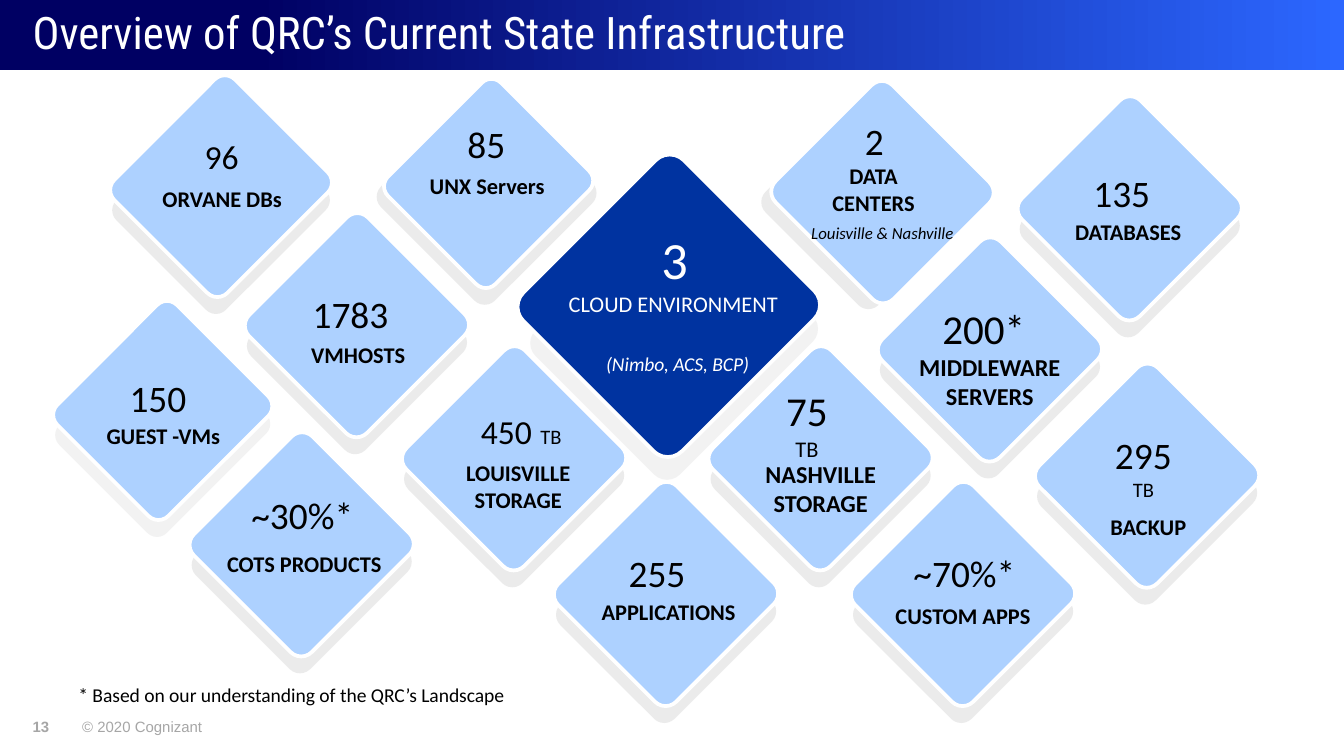
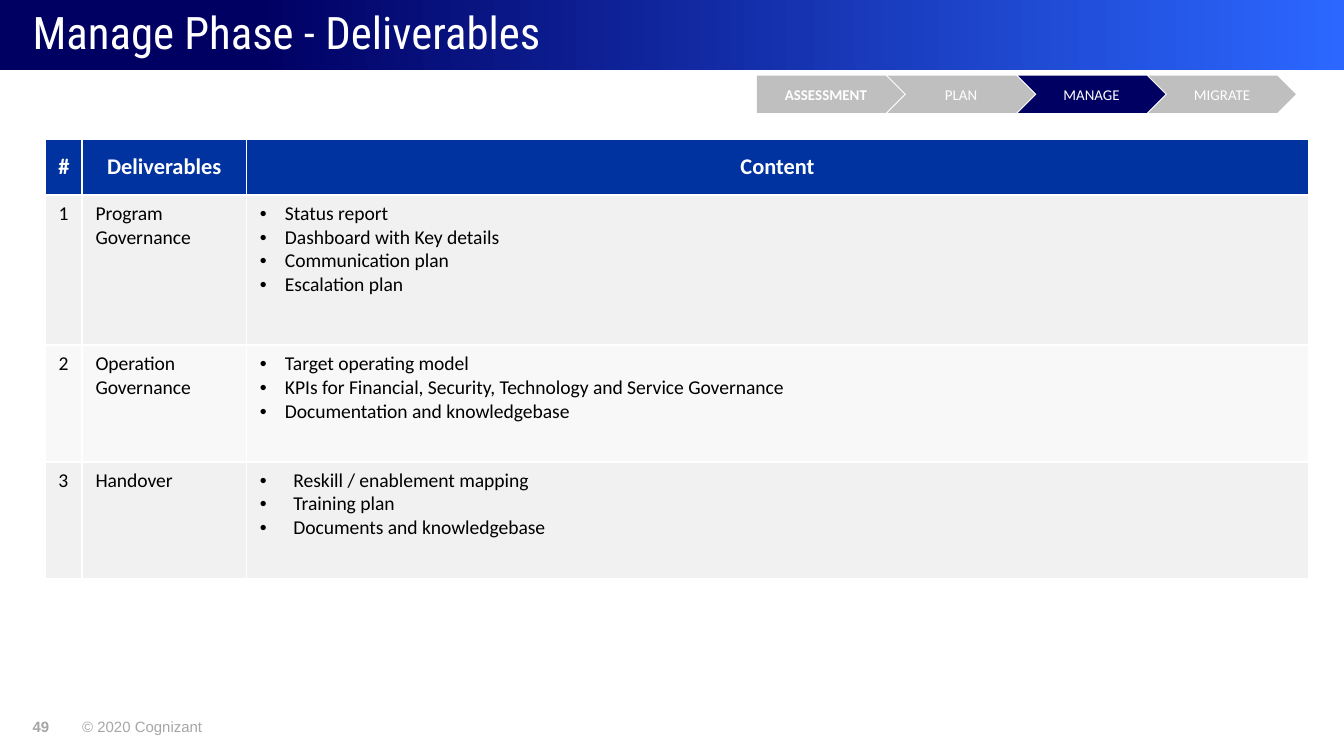
from lxml.etree import SubElement
from pptx import Presentation
from pptx.dml.color import RGBColor
from pptx.enum.shapes import MSO_SHAPE as Preset
from pptx.enum.text import MSO_ANCHOR as Anchor, MSO_AUTO_SIZE as AutoSize, PP_ALIGN as Align
from pptx.oxml.ns import qn
from pptx.util import Pt

NAVY, BRIGHT, BLUE, SKY = "000063", "2C67FF", "0033A0", "ADD1FF"
WHITE, BLACK, GREY, FOOTER = "FFFFFF", "000000", "BFBFBF", "A6A6A6"


def paint(fill, colour, end=None):
    if end:
        fill.gradient()
        fill.gradient_angle = 0
        for stop, position, value in zip(fill.gradient_stops, (0.19, 1), (colour, end)):
            stop.position = position
            stop.color.rgb = RGBColor.from_string(value)
    else:
        fill.solid()
        fill.fore_color.rgb = RGBColor.from_string(colour)


def write(frame, lines, colour=BLACK, align=Align.CENTER, font="Calibri", style="", wrap=True):
    frame.word_wrap = wrap
    frame.margin_left = frame.margin_right = frame.margin_top = frame.margin_bottom = 0
    for number, line in enumerate(lines):
        paragraph = frame.add_paragraph() if number else frame.paragraphs[0]
        paragraph.alignment = align
        for text, size in line:
            run = paragraph.add_run()
            run.text = text
            run.font.name = font
            run.font.size = Pt(size)
            run.font.bold = style == "bold"
            run.font.italic = style == "italic"
            paint(run.font.fill, colour)


deck = Presentation()
deck.slide_width, deck.slide_height = Pt(720), Pt(405)

slides = []
for heading, page in [
    ("Overview of QRC’s Current State Infrastructure", "13"),
    ("Manage Phase - Deliverables", "49"),
]:
    slide = deck.slides.add_slide(deck.slide_layouts[5])
    slides.append(slide)
    band = slide.shapes.add_shape(Preset.RECTANGLE, 0, 0, Pt(720), Pt(37.5))
    band.shadow.inherit = False
    band.line.fill.background()
    paint(band.fill, NAVY, BRIGHT)
    title = slide.shapes.title
    title._element.addprevious(band._element)
    title.left, title.top, title.width, title.height = Pt(17.5), 0, Pt(626.5), Pt(37.5)
    write(title.text_frame, [[(heading, 24)]], WHITE, Align.LEFT, "Roboto Condensed")
    title.text_frame.auto_size = AutoSize.NONE
    title.text_frame.vertical_anchor = Anchor.MIDDLE
    title.text_frame.paragraphs[0].line_spacing = 0.9
    for left, width, text, style in [(17.5, 10, page, "bold"), (44, 65.5, "© 2020 Cognizant", "")]:
        box = slide.shapes.add_textbox(Pt(left), Pt(384.5), Pt(width), Pt(9.5))
        write(box.text_frame, [[(text, 8)]], FOOTER, Align.LEFT, "Arial", style, wrap=False)

overview, deliverables = slides

footnote = overview.shapes.add_textbox(Pt(42), Pt(366), Pt(475), Pt(13))
write(footnote.text_frame, [[("* Based on our understanding of the QRC’s Landscape", 10.5)]], align=Align.LEFT)

SIDE = (90, 89.3)
tiles = [
    ((297.4, 103.7, 121.7, 120.2), (301, 125.3, 120.2, 109.4), [
        (294.5, 155.5, 132.5, "", [[("CLOUD ENVIRONMENT", 12)]]),
        (333.4, 121.7, 56, "", [[("3", 28)]]),
        (324.7, 188.6, 90, "italic", [[("(Nimbo, ACS, BCP)", 10.5)]])]),
    ((428.4, 58.3, 88.6, 89.3), (421.2, 62.6, 93.6, 85.7), [
        (448.6, 63.4, 39.6, "", [[("2", 20)]]),
        (424, 87, 88, "bold", [[("DATA", 12)], [("CENTERS", 12)]]),
        (433.4, 119.5, 78.5, "italic", [[("Louisville & Nashville", 9)]])]),
    ((394.6, 200.9, *SIDE), None, [
        (404.3, 206.6, 56, "", [[("75", 22)], [("TB", 12)]]),
        (387.4, 246.2, 104.4, "bold", [[("NASHVILLE STORAGE", 13)]])]),
    ((230.4, 200.9, *SIDE), None, [
        (251.3, 218.2, 56, "", [[("450", 18), (" ", 20), ("TB", 11)]]),
        (225.4, 246.2, 104.4, "bold", [[("LOUISVILLE STORAGE", 12)]])]),
    ((146.2, 129.6, *SIDE), None, [
        (159.8, 156.2, 56, "", [[("1783", 20)]]),
        (139.7, 182.9, 104.4, "bold", [[("VMHOSTS", 12)]])]),
    ((485.3, 142.6, *SIDE), None, [
        (499, 162.7, 56, "", [[("200*", 22)]]),
        (478, 188.6, 104.4, "bold", [[("MIDDLEWARE", 13)], [("SERVERS", 13)]])]),
    ((218.9, 57.6, 85.7, 81.4), (216, 61.2, 89.3, 86.4), [
        (232.6, 64.8, 56, "", [[("85", 20)]]),
        (208.8, 92.2, 104.4, "bold", [[("UNX Servers", 12)]])]),
    ((72.7, 56.9, 91.4, 85.7), None, [
        (90, 72.7, 57.6, "", [[("96", 18)]]),
        (66.2, 99.4, 105.8, "bold", [[("ORVANE DBs", 12)]])]),
    ((41.8, 177.8, 90.7, 84.2), None, [
        (56.2, 200.9, 56.9, "", [[("150", 20)]]),
        (35.3, 226, 104.4, "bold", [[("GUEST -VMs", 12)]])]),
    ((116.6, 247, *SIDE), None, [
        (122.4, 263.5, 79.2, "", [[("~30%*", 20)]]),
        (118.8, 294.5, 88.6, "bold", [[("COTS PRODUCTS", 12)]])]),
    ((311.8, 273.6, *SIDE), None, [
        (324, 294.5, 56, "", [[("255", 20)]]),
        (306, 320.4, 104.4, "bold", [[("APPLICATIONS", 12)]])]),
    ((470.9, 273.6, *SIDE), None, [
        (476, 294.5, 81.4, "", [[("~70%*", 20)]]),
        (463.7, 322.6, 104.4, "bold", [[("CUSTOM APPS", 12)]])]),
    ((569.5, 210.2, *SIDE), None, [
        (565.4, 231.8, 94.3, "", [[("295", 20)], [("TB", 11)]]),
        (563, 275, 104.4, "bold", [[("BACKUP", 12)]])]),
    ((560.2, 67, *SIDE), None, [
        (573, 91.4, 56, "", [[("135", 20)]]),
        (552.2, 116.6, 104.4, "bold", [[("DATABASES", 12)]])]),
]
CLOUD_TILE, GUEST_TILE = 0, 8
for index, (face, shade, labels) in enumerate(tiles):
    left, top, width, height = face
    cloud = index == CLOUD_TILE
    solid_shade = index in (CLOUD_TILE, GUEST_TILE)
    shade = shade or (left + 0.35, top + 11.5, width - 0.7, height - 2.7)
    for place, colour in [(shade, "F2F2F2" if solid_shade else "D9D9D9"), (face, BLUE if cloud else SKY)]:
        diamond = overview.shapes.add_shape(Preset.ROUNDED_RECTANGLE, *map(Pt, place))
        diamond.adjustments[0] = 0.09
        diamond.rotation = 135
        diamond.shadow.inherit = False
        paint(diamond.fill, colour)
        if place == face:
            paint(diamond.line.fill, WHITE)
            diamond.line.width = Pt(2)
        else:
            diamond.line.fill.background()
            if not solid_shade:
                tint = diamond._element.spPr.find(qn("a:solidFill"))[0]
                SubElement(tint, qn("a:alpha"), val="50000")
    for x, y, span, style, lines in labels:
        tall = 1.15 * sum(max(size for _, size in line) for line in lines)
        box = overview.shapes.add_textbox(Pt(x), Pt(y), Pt(span), Pt(tall))
        align = Align.LEFT if cloud and style == "italic" else Align.CENTER
        write(box.text_frame, lines, WHITE if cloud else BLACK, align, style=style)

rows = [
    ("#", "Deliverables", ["Content"]),
    ("1", "Program Governance", [
        "Status report", "Dashboard with Key details", "Communication plan", "Escalation plan"]),
    ("2", "Operation Governance", [
        "Target operating model",
        "KPIs for Financial, Security, Technology and Service Governance",
        "Documentation and knowledgebase"]),
    ("3", "Handover", ["Reskill / enablement mapping", "Training plan", "Documents and knowledgebase"]),
]
grid = deliverables.shapes.add_table(4, 3, Pt(24), Pt(74.5), Pt(677), Pt(236)).table
for column, width in zip(grid.columns, (20, 88, 569)):
    column.width = Pt(width)
for row, height in zip(grid.rows, (30, 80.5, 62.5, 62.5)):
    row.height = Pt(height)
for r, (number, name, content) in enumerate(rows):
    for c, lines in enumerate(([number], [name], content)):
        cell = grid.cell(r, c)
        header = r == 0
        centred = header or (c == 0 and r < 3)
        write(cell.text_frame, [[(line, 12 if header else 10.5)] for line in lines],
              WHITE if header else BLACK, Align.CENTER if centred else Align.LEFT,
              style="bold" if header else "")
        cell.vertical_anchor = Anchor.MIDDLE if header else Anchor.TOP
        if c == 2 and not header:
            indent = Pt(18 if r == 3 else 13.5)
            for paragraph in cell.text_frame.paragraphs:
                props = paragraph._p.get_or_add_pPr()
                props.set("marL", str(indent))
                props.set("indent", str(-indent))
                SubElement(props, qn("a:buFont"), typeface="Arial")
                SubElement(props, qn("a:buChar"), char="•")
        borders = cell._tc.get_or_add_tcPr()
        for edge in ("a:lnL", "a:lnR", "a:lnT", "a:lnB"):
            line = SubElement(borders, qn(edge), w=str(Pt(1)))
            SubElement(SubElement(line, qn("a:solidFill")), qn("a:srgbClr"), val=WHITE)
        paint(cell.fill, BLUE if header else ("F8F8F8", "F1F1F1")[r % 2])

phases = ["ASSESSMENT", "PLAN", "MANAGE", "MIGRATE"]
for step, phase in reversed(list(enumerate(phases))):
    arrow = deliverables.shapes.add_shape(
        Preset.CHEVRON if step else Preset.PENTAGON, Pt(405.5 + 69.9 * step), Pt(40.5), Pt(79), Pt(20))
    arrow.shadow.inherit = False
    arrow.line.fill.background()
    paint(arrow.fill, NAVY if phase == "MANAGE" else GREY)
    write(arrow.text_frame, [[(phase, 8)]], WHITE, style="" if step else "bold")
    arrow.text_frame.vertical_anchor = Anchor.MIDDLE

deck.save("out.pptx")
